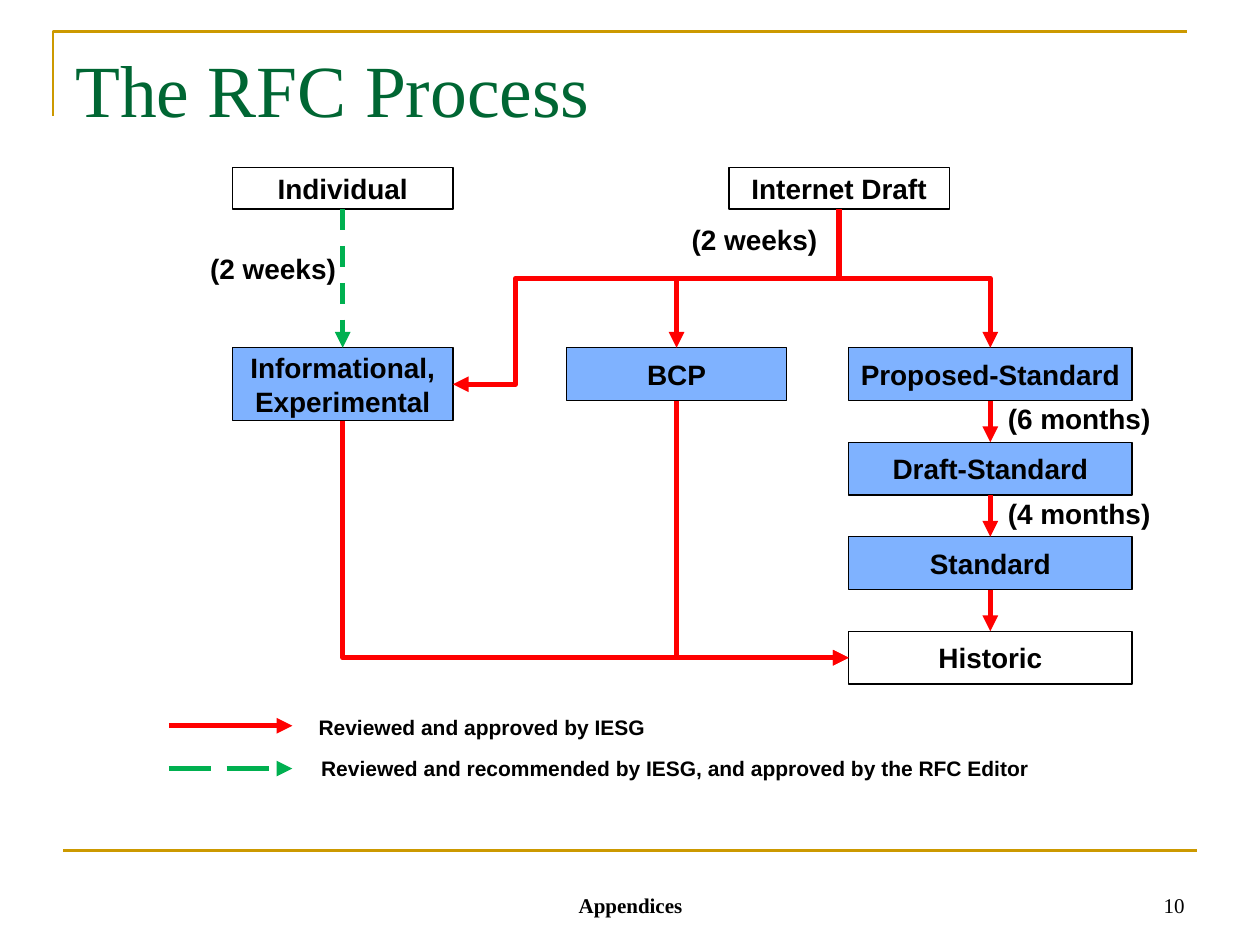
from lxml import etree
from pptx import Presentation
from pptx.dml.color import RGBColor
from pptx.enum import dml, shapes, text
from pptx.oxml.ns import qn
from pptx.util import Inches, Pt

COLORS = {"gold": "CC9900", "title": "006633", "black": "000000", "white": "FFFFFF",
          "blue": "0066FF", "red": "FF0000", "green": "00B050"}
SANS, SERIF = "Arial", "Times New Roman"
LEFT, CENTER, RIGHT = text.PP_ALIGN.LEFT, text.PP_ALIGN.CENTER, text.PP_ALIGN.RIGHT
TOP, MIDDLE, BOTTOM = text.MSO_ANCHOR.TOP, text.MSO_ANCHOR.MIDDLE, text.MSO_ANCHOR.BOTTOM

# Stages: name -> (label, centre x, top, width, height, fill)
TRACK_X, TRACK_TOP, TRACK_STEP = 7.86, 2.76, 0.75
STAGES = {
    "individual": ("Individual", 2.72, 1.33, 1.75, 0.33, "white"),
    "draft": ("Internet Draft", 6.66, 1.33, 1.75, 0.33, "white"),
    "info": ("Informational,\nExperimental", 2.72, TRACK_TOP, 1.75, 0.58, "blue"),
    "bcp": ("BCP", 5.37, TRACK_TOP, 1.75, 0.42, "blue"),
}
TRACK = ["Proposed-Standard", "Draft-Standard", "Standard", "Historic"]
for row, label in enumerate(TRACK):
    fill = "white" if label == "Historic" else "blue"
    STAGES[label] = (label, TRACK_X, TRACK_TOP + row * TRACK_STEP, 2.25, 0.42, fill)

# Labels: text, left, top, width, height, size
LABELS = [
    ("(2 weeks)", 1.57, 1.95, 1.2, 0.37, 16),
    ("(2 weeks)", 5.39, 1.72, 1.2, 0.37, 16),
    ("(6 months)", 7.9, 3.14, 1.33, 0.37, 16),
    ("(4 months)", 7.9, 3.89, 1.33, 0.37, 16),
    ("Reviewed and approved by IESG", 2.43, 5.62, 2.79, 0.3, 12),
    ("Reviewed and recommended by IESG, and approved by the RFC Editor",
     2.45, 5.95, 5.82, 0.3, 12),
]
# Legend arrows: y, colour, dash
LEGEND = [(5.76, "red", None), (6.1, "green", dml.MSO_LINE.LONG_DASH)]

deck = Presentation()
deck.slide_width, deck.slide_height = Inches(10), Inches(7.5)
page = deck.slides.add_slide(deck.slide_layouts[6])


def rgb(name):
    return RGBColor.from_string(COLORS[name])


def write(shape, words, size, font=SANS, color="black", bold=True,
          align=LEFT, anchor=TOP, wrap=False):
    frame = shape.text_frame
    frame.word_wrap = wrap
    frame.vertical_anchor = anchor
    para = frame.paragraphs[0]
    para.text = words
    para.alignment = align
    para.font.name, para.font.size, para.font.bold = font, Pt(size), bold
    para.font.color.rgb = rgb(color)


def add_label(words, left, top, width, height, size, **style):
    box = page.shapes.add_textbox(*map(Inches, (left, top, width, height)))
    write(box, words, size, **style)


def add_stage(label, center, top, width, height, fill):
    box = page.shapes.add_shape(shapes.MSO_SHAPE.RECTANGLE, *map(
        Inches, (center - width / 2, top, width, height)))
    box.shadow.inherit = False
    box.fill.solid()
    box.fill.fore_color.rgb = rgb(fill)
    if fill == "blue":
        shade = box._element.spPr.find(qn("a:solidFill"))[0]
        etree.SubElement(shade, qn("a:alpha"), val="50000")
    box.line.color.rgb = rgb("black")
    box.line.width = Pt(0.75)
    write(box, label, 16, align=CENTER, anchor=MIDDLE)


def add_line(start, end, color="red", width=3, dash=None, arrow=True,
             kind=shapes.MSO_CONNECTOR.STRAIGHT):
    line = page.shapes.add_connector(kind, *map(Inches, (*start, *end)))
    line.line.color.rgb = rgb(color)
    line.line.width = Pt(width)
    if dash:
        line.line.dash_style = dash
    props = line._element.spPr
    if arrow:
        etree.SubElement(props.find(qn("a:ln")), qn("a:tailEnd"), type="triangle")
    etree.SubElement(props, qn("a:effectLst"))
    return line


def add_elbow(start, end, bend=None):
    """Leave sideways, turning after the given share of the way."""
    line = add_line(start, end, kind=shapes.MSO_CONNECTOR.ELBOW)
    if bend:
        guides = line._element.spPr.find(qn("a:prstGeom")).find(qn("a:avLst"))
        etree.SubElement(guides, qn("a:gd"), name="adj1", fmla=f"val {round(bend * 100000)}")
    return line


def add_drop(start, end, single_bend=False):
    """Leave downwards: an elbow turned a quarter about its middle."""
    (x1, y1), (x2, y2) = start, end
    mid_x, mid_y = (x1 + x2) / 2, (y1 + y2) / 2
    side = 1 if x2 > x1 else -1
    run, rise = side * (y2 - y1) / 2, abs(x2 - x1) / 2
    line = add_elbow((mid_x + run, mid_y - rise), (mid_x - run, mid_y + rise))
    props = line._element.spPr
    props.find(qn("a:xfrm")).set("rot", str((270 if side > 0 else 90) * 60000))
    if single_bend:
        props.find(qn("a:prstGeom")).set("prst", "bentConnector2")


def top_of(name):
    _, center, top, *_ = STAGES[name]
    return center, top


def bottom_of(name):
    _, center, top, _, height, _ = STAGES[name]
    return center, top + height


def side_of(name, direction):
    _, center, top, width, height, _ = STAGES[name]
    return center + direction * width / 2, top + height / 2


# Frame lines and footer
corner = page.shapes.build_freeform(Inches(0.42), Inches(0.92), scale=1.0)
corner.add_line_segments([(Inches(0.42), Inches(0.25)), (Inches(9.42), Inches(0.25))],
                         close=False)
frame_line = corner.convert_to_shape()
frame_line.shadow.inherit = False
frame_line.fill.background()
frame_line.line.color.rgb = rgb("gold")
frame_line.line.width = Pt(1.5)
add_line((0.5, 6.75), (9.5, 6.75), "gold", 1.5, arrow=False)
add_label("Appendices", 3.42, 6.83, 3.17, 0.5, 12, font=SERIF,
          align=CENTER, anchor=BOTTOM, wrap=True)
add_label("10", 7.17, 6.83, 2.33, 0.5, 12, font=SERIF, bold=False,
          align=RIGHT, anchor=BOTTOM, wrap=True)

# Title
add_label("The RFC Process", 0.5, 0.3, 9, 1.25, 42, font=SERIF,
          color="title", bold=False, wrap=True)

# Stages
for stage in STAGES.values():
    add_stage(*stage)

# Paths from the drafts
add_line(bottom_of("individual"), top_of("info"), "green", dash=dml.MSO_LINE.DASH)
for target in ("bcp", "Proposed-Standard"):
    add_drop(bottom_of("draft"), top_of(target))
branch_y = (bottom_of("draft")[1] + TRACK_TOP) / 2
add_elbow((top_of("bcp")[0], branch_y), side_of("info", 1), bend=0.72)

# Paths down the standards track and into Historic
for upper, lower in zip(TRACK, TRACK[1:]):
    add_line(bottom_of(upper), top_of(lower))
for source in ("bcp", "info"):
    add_drop(bottom_of(source), side_of("Historic", -1), single_bend=True)

# Legend and labels
for y, color, dash in LEGEND:
    add_line((1.34, y), (2.32, y), color, dash=dash)
for label in LABELS:
    add_label(*label)

deck.save("out.pptx")
